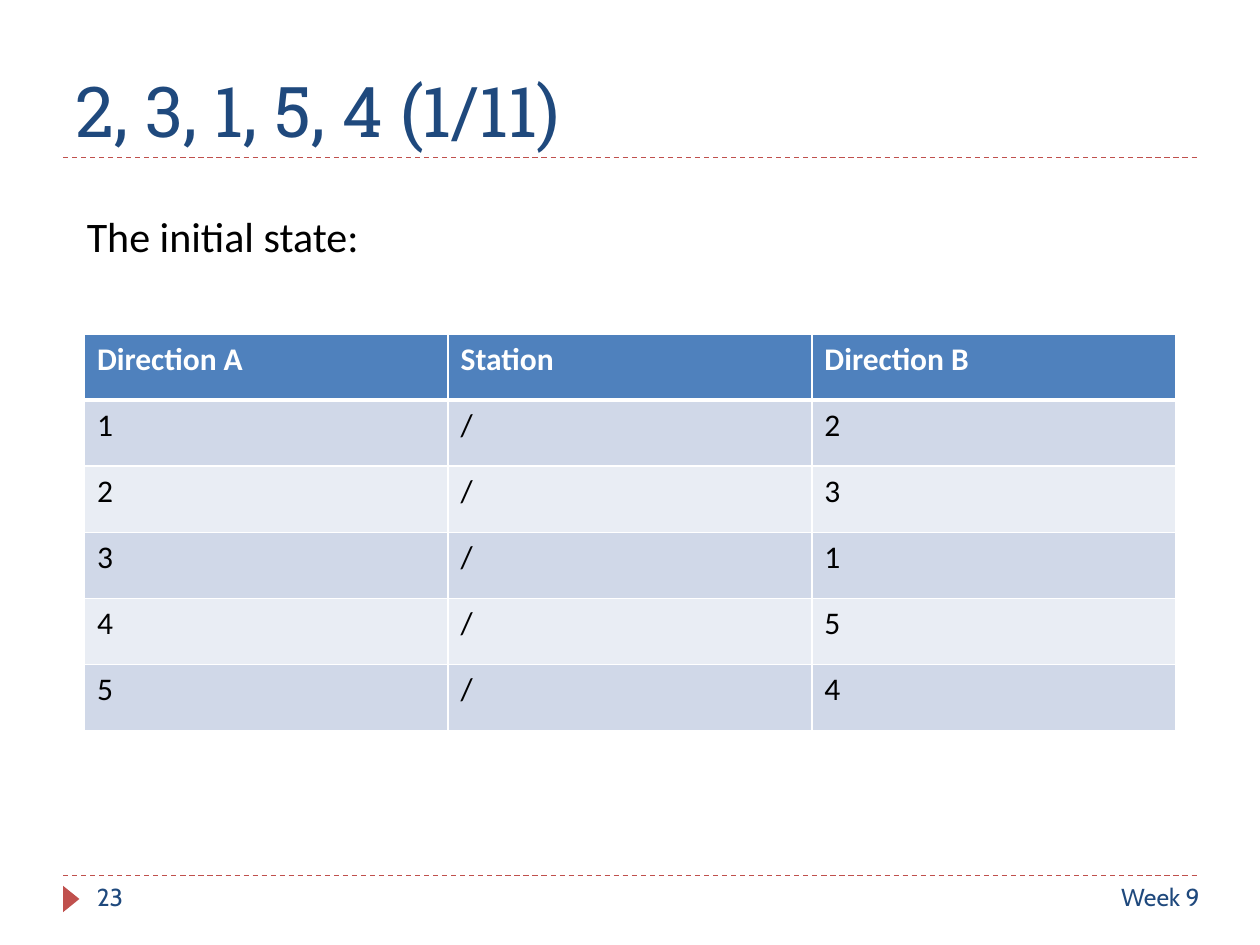
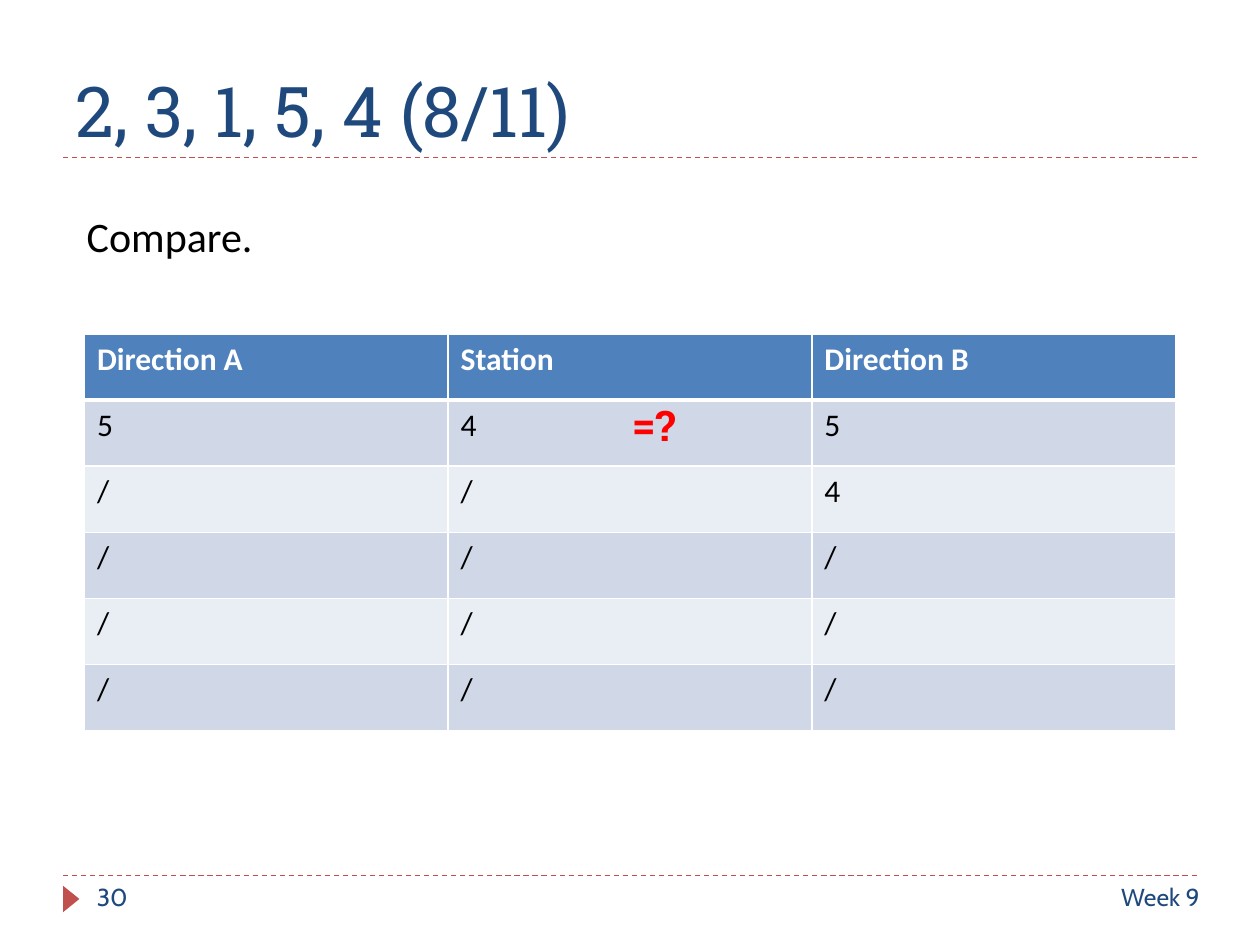
from lxml.etree import SubElement
from pptx import Presentation
from pptx.dml.color import RGBColor
from pptx.enum.dml import MSO_LINE
from pptx.enum.shapes import MSO_CONNECTOR, MSO_SHAPE
from pptx.enum.text import MSO_ANCHOR as Anchor, MSO_AUTO_SIZE as AutoSize, PP_ALIGN as Align
from pptx.oxml.ns import qn
from pptx.util import Inches, Pt

NAVY, RED, BLACK, WHITE, ALERT = "1F497D", "C0504D", "000000", "FFFFFF", "FF0000"
HEADER_FILL = "4F81BD"
BAND_FILLS = ("D0D8E8", "E9EDF4")
TITLE_FONT, BODY_FONT, FOOTER_FONT = "Roboto Slab", "Calibri", "Cabin"

TITLE_BOX = (0.5, 0.17, 9, 1.08)
TABLE_BOX = (0.67, 2.65, 8.66, 3.15)
FOOTER_BOX = (0.5, 6.95, 9, 0.4)
COLUMNS = ("Direction A", "Station", "Direction B")


def color(value):
    """Turn a hex string into a colour."""
    return RGBColor.from_string(value)


def inches(box):
    """Turn a box of plain numbers into lengths."""
    return [Inches(value) for value in box]


def write(frame, text, size, font, hex_color, bold=False, align=Align.LEFT):
    """Put one formatted run in the first paragraph of a text frame."""
    paragraph = frame.paragraphs[0]
    paragraph.alignment = align
    run = paragraph.add_run()
    run.text = text
    run.font.size = Pt(size)
    run.font.name = font
    run.font.bold = bold
    run.font.color.rgb = color(hex_color)


def add_text(slide, box, text, size, font, hex_color, wrap=True, **style):
    """Add a text box; one that does not wrap grows with its text."""
    frame = slide.shapes.add_textbox(*inches(box)).text_frame
    frame.word_wrap = wrap
    frame.auto_size = AutoSize.NONE if wrap else AutoSize.SHAPE_TO_FIT_TEXT
    write(frame, text, size, font, hex_color, **style)


def add_rule(slide, left, top, width):
    """Draw a dashed horizontal rule."""
    rule = slide.shapes.add_connector(
        MSO_CONNECTOR.STRAIGHT, *inches((left, top, left + width, top)))
    rule.line.color.rgb = color(RED)
    rule.line.width = Pt(0.75)
    rule.line.dash_style = MSO_LINE.DASH
    SubElement(rule._element.spPr, qn("a:effectLst"))


def add_title(slide, box, text):
    """Place the title with a rule along the bottom of its box."""
    left, top, width, height = box
    add_rule(slide, left, top + height, width)
    title = slide.shapes.title
    title.left, title.top, title.width, title.height = inches(box)
    title.text_frame.vertical_anchor = Anchor.BOTTOM
    title.text_frame.auto_size = AutoSize.NONE
    write(title.text_frame, text, 40, TITLE_FONT, NAVY)


def add_footer(slide, box, number):
    """Place the rule, marker, slide number and week label."""
    left, top, width, height = box
    add_rule(slide, left, top, width)
    marker = slide.shapes.add_shape(
        MSO_SHAPE.ISOSCELES_TRIANGLE,
        *inches((left - 0.04, top + 0.12, 0.21, 0.13)))
    marker.rotation = 90
    marker.shadow.inherit = False
    marker.fill.solid()
    marker.fill.fore_color.rgb = color(RED)
    marker.line.fill.background()
    add_text(slide, (left + 0.17, top, 2.17, height), str(number), 14, FOOTER_FONT, NAVY)
    add_text(slide, (left + width - 3.71, top, 3.83, height), "Week 9", 14,
             FOOTER_FONT, NAVY, align=Align.RIGHT)


def set_borders(cell, widths):
    """Give a cell white borders, with widths in points by side."""
    properties = cell._tc.get_or_add_tcPr()
    for side, width in widths.items():
        line = SubElement(properties, qn(f"a:ln{side}"), w=str(Pt(width)))
        fill = SubElement(line, qn("a:solidFill"))
        SubElement(fill, qn("a:srgbClr"), val=WHITE)


def add_state_table(slide, box, rows):
    """Show the cars in each track as a banded table under a header."""
    lines = [COLUMNS, *rows]
    table = slide.shapes.add_table(len(lines), len(COLUMNS), *inches(box)).table
    for row_index, values in enumerate(lines):
        header = row_index == 0
        fill = HEADER_FILL if header else BAND_FILLS[(row_index - 1) % 2]
        widths = {"L": 1, "R": 1, "T": 3 if row_index == 1 else 1, "B": 3 if header else 1}
        for column_index, value in enumerate(values):
            cell = table.cell(row_index, column_index)
            set_borders(cell, widths)
            cell.fill.solid()
            cell.fill.fore_color.rgb = color(fill)
            write(cell.text_frame, value, 18, BODY_FONT,
                  WHITE if header else BLACK, bold=header)


def add_state_slide(presentation, step, number, caption, caption_width, rows):
    """Build one step of the sorting example."""
    slide = presentation.slides.add_slide(presentation.slide_layouts[5])
    add_title(slide, TITLE_BOX, f"2, 3, 1, 5, 4 ({step}/11)")
    add_footer(slide, FOOTER_BOX, number)
    add_state_table(slide, TABLE_BOX, rows)
    add_text(slide, (0.59, 1.62, caption_width, 0.5), caption, 24, BODY_FONT,
             BLACK, wrap=False)
    return slide


def main():
    """Build and save the presentation."""
    presentation = Presentation()
    presentation.slide_width, presentation.slide_height = Inches(10), Inches(7.5)
    add_state_slide(presentation, 1, 23, "The initial state:", 2.38,
                    ["1/2", "2/3", "3/1", "4/5", "5/4"])
    compare = add_state_slide(presentation, 8, 30, "Compare.", 1.57,
                              ["545", "//4", "///", "///", "///"])
    add_text(compare, (4.92, 3.12, 0.63, 0.5), "=?", 24, TITLE_FONT, ALERT,
             wrap=False, bold=True)
    presentation.save("out.pptx")


if __name__ == "__main__":
    main()
